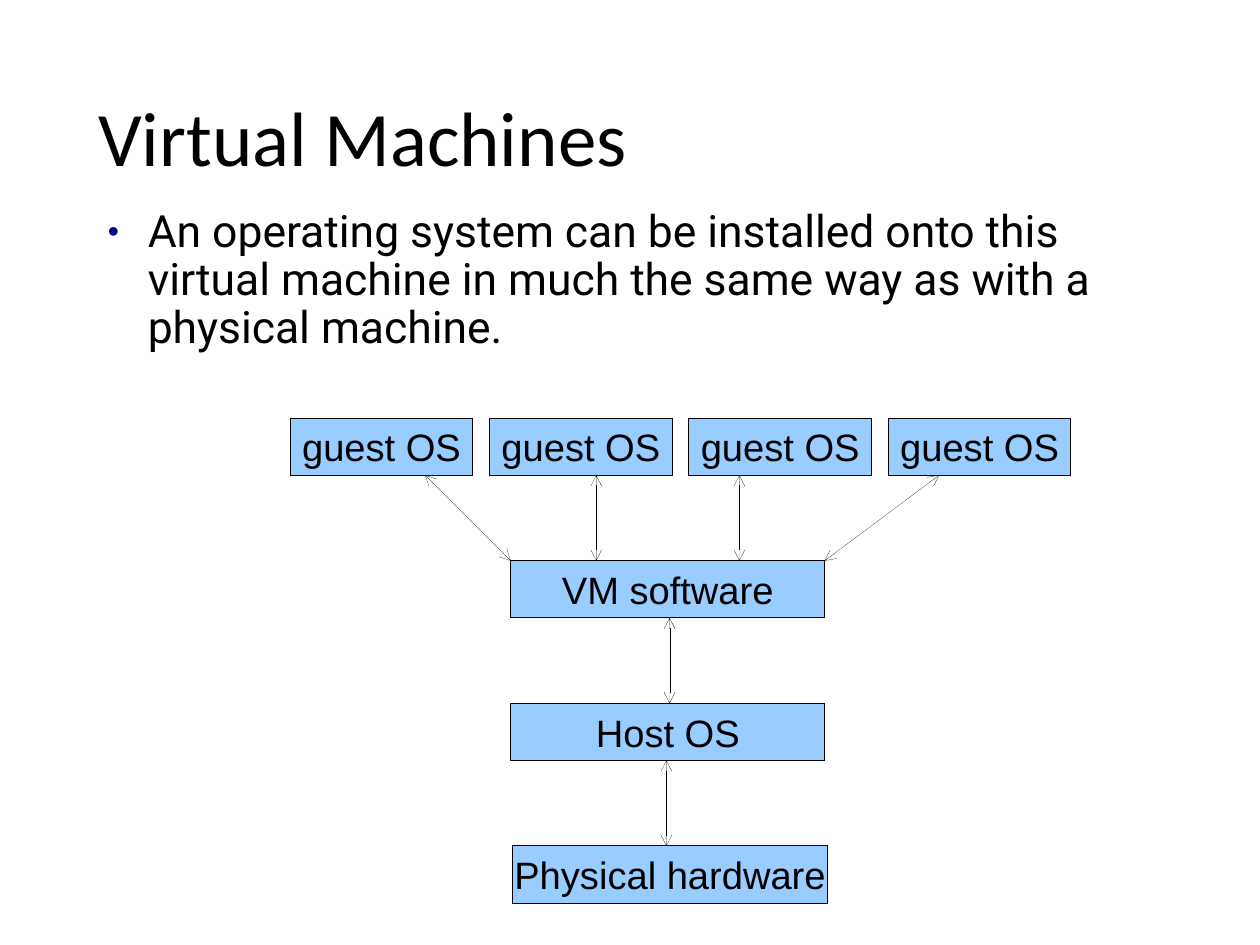
from lxml import etree
from pptx import Presentation
from pptx.dml.color import RGBColor
from pptx.enum.shapes import MSO_CONNECTOR, MSO_SHAPE
from pptx.enum.text import MSO_ANCHOR, MSO_AUTO_SIZE, PP_ALIGN
from pptx.oxml.ns import qn
from pptx.util import Cm, Pt

STRAIGHT = MSO_CONNECTOR.STRAIGHT
RECTANGLE = MSO_SHAPE.RECTANGLE
LEFT, CENTER = PP_ALIGN.LEFT, PP_ALIGN.CENTER
TOP, MIDDLE = MSO_ANCHOR.TOP, MSO_ANCHOR.MIDDLE
NO_AUTOFIT = MSO_AUTO_SIZE.NONE

COLORS = {"text": "000000", "bullet": "000080", "box": "99CCFF", "line": "000000"}

BOX_HEIGHT = 1.27
ROW_TOP, ROW_PITCH = 9.29, 3.17
GUEST_LEFT, GUEST_PITCH, GUEST_WIDTH = 6.45, 4.43, 4.06
LAYER_WIDTH = 6.98
LAYERS = [("VM software", 11.35), ("Host OS", 11.35), ("Physical hardware", 11.4)]
# Row above the arrow, x at its upper end, x at its lower end
ARROWS = [
    (0, 9.45, 11.35),
    (0, 13.25, 13.25),
    (0, 16.43, 16.43),
    (0, 20.87, 18.33),
    (1, 14.88, 14.88),
    (2, 14.81, 14.81),
]


def color(name):
    return RGBColor.from_string(COLORS[name])


def row_top(row):
    return ROW_TOP + row * ROW_PITCH


def write(shape, text, font, size, align=LEFT, anchor=MIDDLE, wrap=True, spacing=1.0, after=0):
    frame = shape.text_frame
    frame.auto_size = NO_AUTOFIT
    frame.word_wrap = wrap
    frame.vertical_anchor = anchor
    para = frame.paragraphs[0]
    para.alignment = align
    para.line_spacing = spacing
    para.space_before = Pt(0)
    para.space_after = Pt(after)
    span = para.add_run()
    span.text = text
    span.font.name = font
    span.font.size = Pt(size)
    span.font.color.rgb = color("text")
    return para


def place(shape, left, top, width, height):
    shape.left, shape.top = Cm(left), Cm(top)
    shape.width, shape.height = Cm(width), Cm(height)


def add_bullet(para):
    properties = para._p.get_or_add_pPr()
    properties.set("marL", str(Cm(1.2)))
    properties.set("indent", str(Cm(-0.9)))
    bullet_color = etree.SubElement(properties, qn("a:buClr"))
    etree.SubElement(bullet_color, qn("a:srgbClr"), val=COLORS["bullet"])
    etree.SubElement(properties, qn("a:buSzPct"), val="45000")
    etree.SubElement(properties, qn("a:buChar"), char="●")


def draw_hairline(shape):
    """Give the shape the thinnest line; a width of zero must stand in the XML."""
    shape.line.color.rgb = color("line")
    outline = shape.line._get_or_add_ln()
    outline.set("w", "0")
    return outline


def add_box(page, text, left, row, width):
    box = page.shapes.add_shape(
        RECTANGLE, Cm(left), Cm(row_top(row)), Cm(width), Cm(BOX_HEIGHT)
    )
    box.shadow.inherit = False
    box.fill.solid()
    box.fill.fore_color.rgb = color("box")
    draw_hairline(box)
    write(box, text, "Arial", 24, align=CENTER, wrap=False)


def add_arrow(page, row, upper_x, lower_x):
    """Join a row to the next one with a hairline that has two open heads."""
    arrow = page.shapes.add_connector(
        STRAIGHT,
        Cm(upper_x), Cm(row_top(row) + BOX_HEIGHT),
        Cm(lower_x), Cm(row_top(row + 1)),
    )
    outline = draw_hairline(arrow)
    for end in ("a:headEnd", "a:tailEnd"):
        etree.SubElement(outline, qn(end), type="arrow")
    etree.SubElement(arrow._element.spPr, qn("a:effectLst"))


def main():
    deck = Presentation()
    deck.slide_width, deck.slide_height = Cm(28), Cm(21)
    page = deck.slides.add_slide(deck.slide_layouts[1])

    title, body = page.placeholders
    place(title, 1.93, 1.12, 24.16, 4.06)
    write(title, "Virtual Machines", "Calibri", 48.5, spacing=0.9)
    place(body, 1.83, 4.52, 24.16, 13.34)
    point = write(
        body,
        "An operating system can be installed onto this virtual machine "
        "in much the same way as with a physical machine.",
        "Roboto", 28, anchor=TOP, spacing=0.9, after=14.1,
    )
    add_bullet(point)

    for column in range(4):
        add_box(page, "guest OS", GUEST_LEFT + column * GUEST_PITCH, 0, GUEST_WIDTH)
    for row, (text, left) in enumerate(LAYERS, start=1):
        add_box(page, text, left, row, LAYER_WIDTH)
    for row, upper_x, lower_x in ARROWS:
        add_arrow(page, row, upper_x, lower_x)

    deck.save("out.pptx")


if __name__ == "__main__":
    main()
